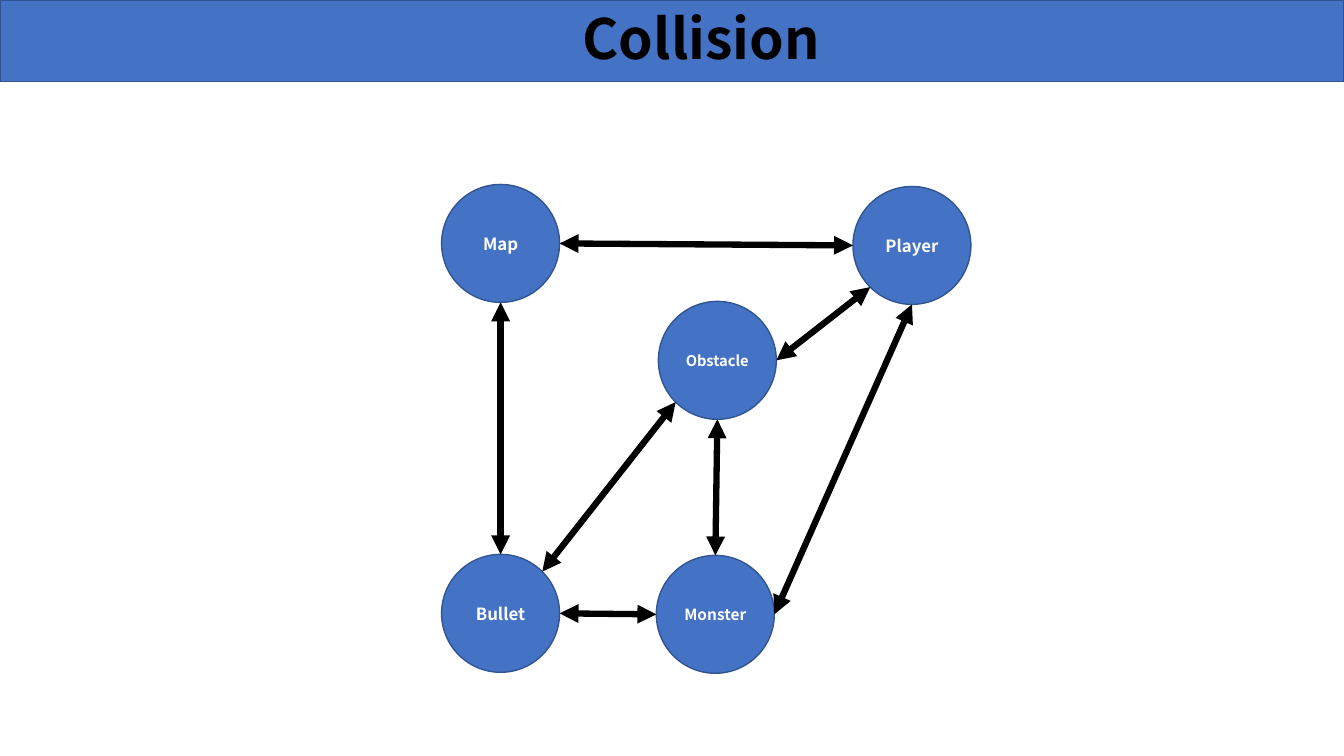
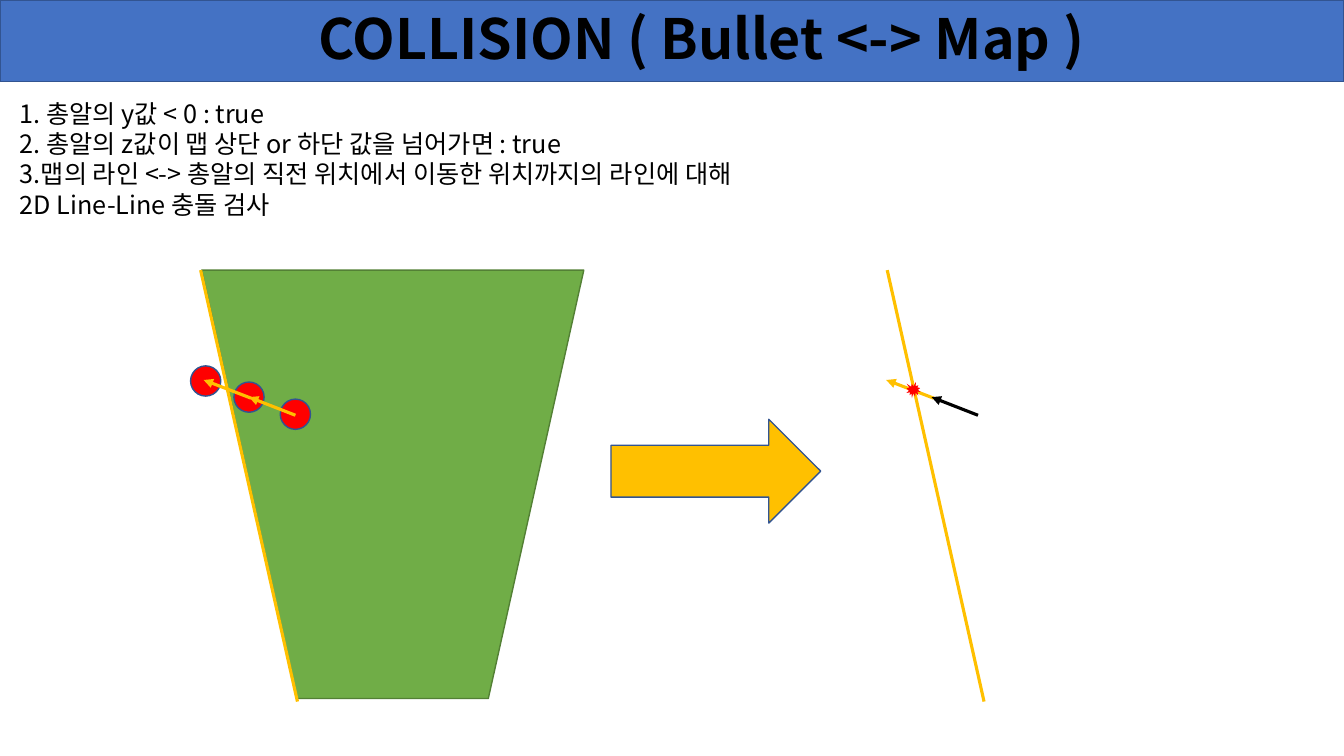
import math

import lxml.etree
import pptx
import pptx.dml.color
import pptx.enum.shapes
import pptx.enum.text
import pptx.oxml.ns
import pptx.util

Inches = pptx.util.Inches
Pt = pptx.util.Pt
SHAPE = pptx.enum.shapes.MSO_SHAPE
ALIGN = pptx.enum.text.PP_ALIGN
ANCHOR = pptx.enum.text.MSO_ANCHOR
rgb = pptx.dml.color.RGBColor.from_string

FONT = "Noto Sans CJK KR"
BLUE, NAVY, GOLD, RED = "4472C4", "325491", "FFC000", "FF0000"
GREEN, DARK_GREEN, BLACK, WHITE = "70AD47", "538035", "000000", "FFFFFF"


def put(s, kind, at, text="", fill=None, line=NAVY, size=12, color=WHITE, bold=True,
        align=ALIGN.CENTER, anchor=ANCHOR.MIDDLE, wrap=False, spacing=None):
    """Add a preset shape, or a text box when kind is None, with its text."""
    box = [Inches(v) for v in at]
    if kind is None:
        sp = s.shapes.add_textbox(*box)
    else:
        sp = s.shapes.add_shape(kind, *box)
        sp.shadow.inherit = False
        sp.fill.solid()
        sp.fill.fore_color.rgb = rgb(fill)
        if line:
            sp.line.color.rgb = rgb(line)
            sp.line.width = Pt(1)
        else:
            sp.line.fill.background()
    if text:
        tf = sp.text_frame
        tf.word_wrap = wrap
        tf.vertical_anchor = anchor
        tf.text = text
        for p in tf.paragraphs:
            p.alignment = align
            p.line_spacing = spacing
            for r in p.runs:
                r.font.name = FONT
                r.font.size = Pt(size)
                r.font.bold = bold
                r.font.color.rgb = rgb(color)
                ea = lxml.etree.SubElement(r.font._element, pptx.oxml.ns.qn("a:ea"))
                ea.set("typeface", FONT)
    return sp


def connect(s, start, end, color, width, ends=()):
    """Add a straight line; ends names the ends that carry an arrowhead."""
    points = [Inches(v) for v in (*start, *end)]
    cx = s.shapes.add_connector(pptx.enum.shapes.MSO_CONNECTOR.STRAIGHT, *points)
    cx.line.color.rgb = rgb(color)
    cx.line.width = Pt(width)
    ln = cx.line._get_or_add_ln()
    for end_name in ends:
        lxml.etree.SubElement(ln, pptx.oxml.ns.qn("a:" + end_name)).set("type", "triangle")
    lxml.etree.SubElement(cx._element.spPr, pptx.oxml.ns.qn("a:effectLst"))


prs = pptx.Presentation()
prs.slide_width = Inches(13.33)
prs.slide_height = Inches(7.5)

# Shared band and title
for title in ["Collision", "COLLISION ( Bullet <-> Map )"]:
    s = prs.slides.add_slide(prs.slide_layouts[6])
    put(s, SHAPE.RECTANGLE, (0, 0, 13.33, 0.81), fill=BLUE)
    put(s, None, (0.92, 0.08, 12.07, 0.66), title, size=39.6, color=BLACK,
        wrap=True, spacing=0.9)
overview, bullet_map = prs.slides

# Slide 1: which objects collide with each other
DIAMETER = 1.17
objects = {
    "Bullet": (4.38, 5.5, 12),
    "Map": (4.38, 1.83, 12),
    "Monster": (6.51, 5.51, 11),
    "Obstacle": (6.53, 2.99, 10.5),
    "Player": (8.46, 1.85, 12),
}
for name, (left, top, size) in objects.items():
    put(overview, SHAPE.OVAL, (left, top, DIAMETER, DIAMETER), name, fill=BLUE, size=size)

# Each end is an object and the clockwise angle of the touching point from its right side
links = [
    (("Bullet", 270), ("Map", 90)),
    (("Bullet", 0), ("Monster", 180)),
    (("Monster", 270), ("Obstacle", 90)),
    (("Bullet", 315), ("Obstacle", 135)),
    (("Map", 0), ("Player", 180)),
    (("Monster", 0), ("Player", 90)),
    (("Obstacle", 0), ("Player", 135)),
]
for link in links:
    touch = []
    for name, angle in link:
        left, top, size = objects[name]
        a = math.radians(angle)
        touch.append((left + DIAMETER / 2 * (1 + math.cos(a)),
                      top + DIAMETER / 2 * (1 + math.sin(a))))
    connect(overview, *touch, BLACK, 4.5, ("headEnd", "tailEnd"))

# Slide 2: bullet path against the map edge
field = put(bullet_map, SHAPE.TRAPEZOID, (2, 2.68, 3.79, 4.25), fill=GREEN, line=DARK_GREEN)
field.rotation = 180
for left, top in [(2.32, 3.79), (1.89, 3.63), (2.78, 3.96)]:
    put(bullet_map, SHAPE.OVAL, (left, top, 0.3, 0.3), fill=RED)

rules = [
    "1. 총알의 y값 < 0 : true",
    "2. 총알의 z값이 맵 상단 or 하단 값을 넘어가면 : true",
    "3.맵의 라인 <-> 총알의 직전 위치에서 이동한 위치까지의 라인에 대해",
    "2D Line-Line 충돌 검사",
]
put(bullet_map, None, (0.1, 0.92, 8.17, 1.31), "\n".join(rules), size=18, color=BLACK,
    bold=False, align=ALIGN.LEFT, anchor=ANCHOR.TOP, wrap=True, spacing=Pt(21.75))
put(bullet_map, SHAPE.RIGHT_ARROW, (6.06, 4.16, 2.08, 1.03), fill=GOLD)

# The edge and both bullet steps, on the map and again as bare lines
for edge_dx, step_dx, first_color in [(0, 0, GOLD), (6.81, 6.77, BLACK)]:
    connect(bullet_map, (1.99 + edge_dx, 2.68), (2.95 + edge_dx, 6.96), GOLD, 2.25)
    connect(bullet_map, (2.49 + step_dx, 3.95), (2.02 + step_dx, 3.77), GOLD, 2.25, ["tailEnd"])
    connect(bullet_map, (2.93 + step_dx, 4.12), (2.47 + step_dx, 3.94), first_color, 2.25,
            ["tailEnd"])
put(bullet_map, SHAPE.EXPLOSION1, (8.99, 3.79, 0.14, 0.16), fill=RED, line=None)

prs.save("out.pptx")
